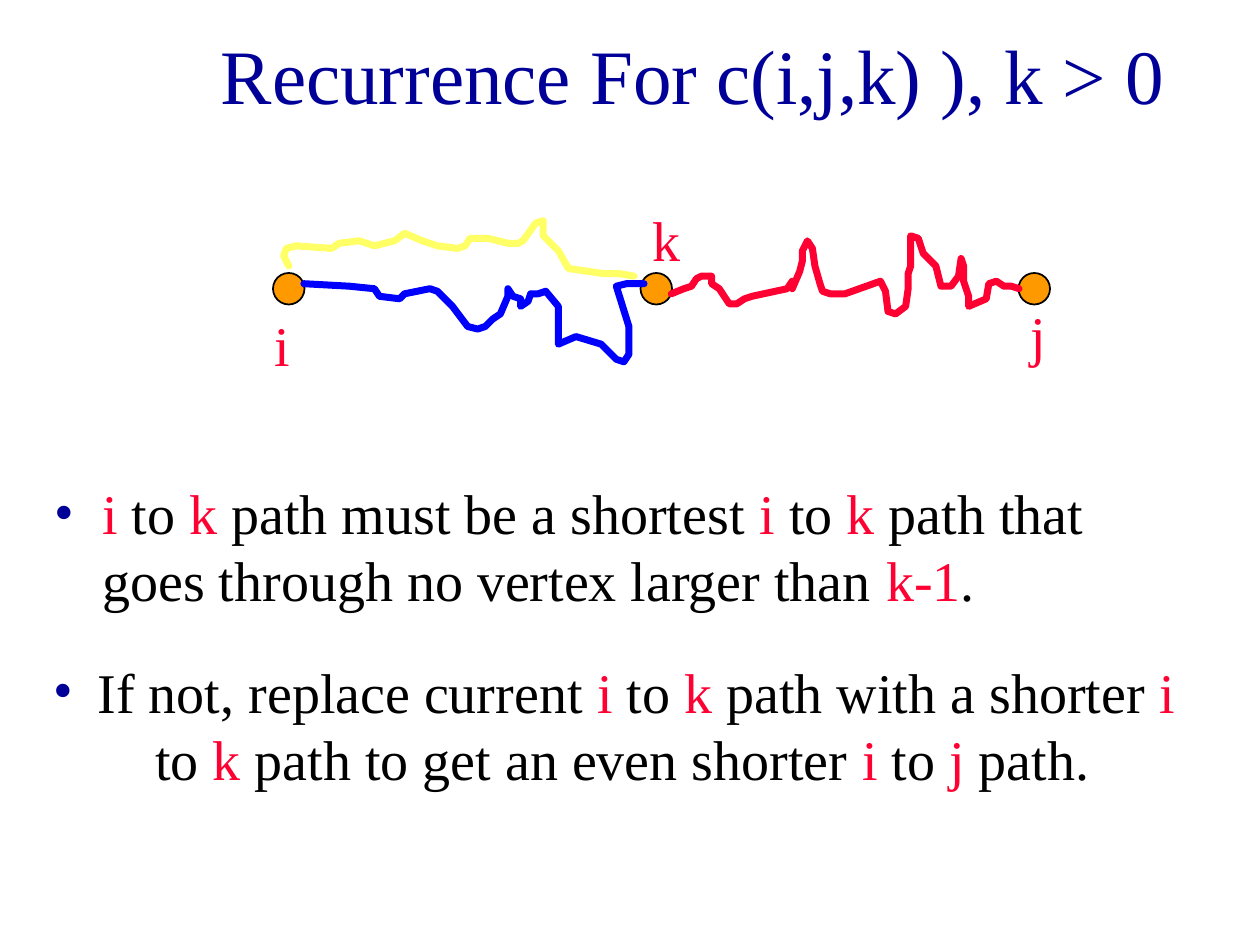
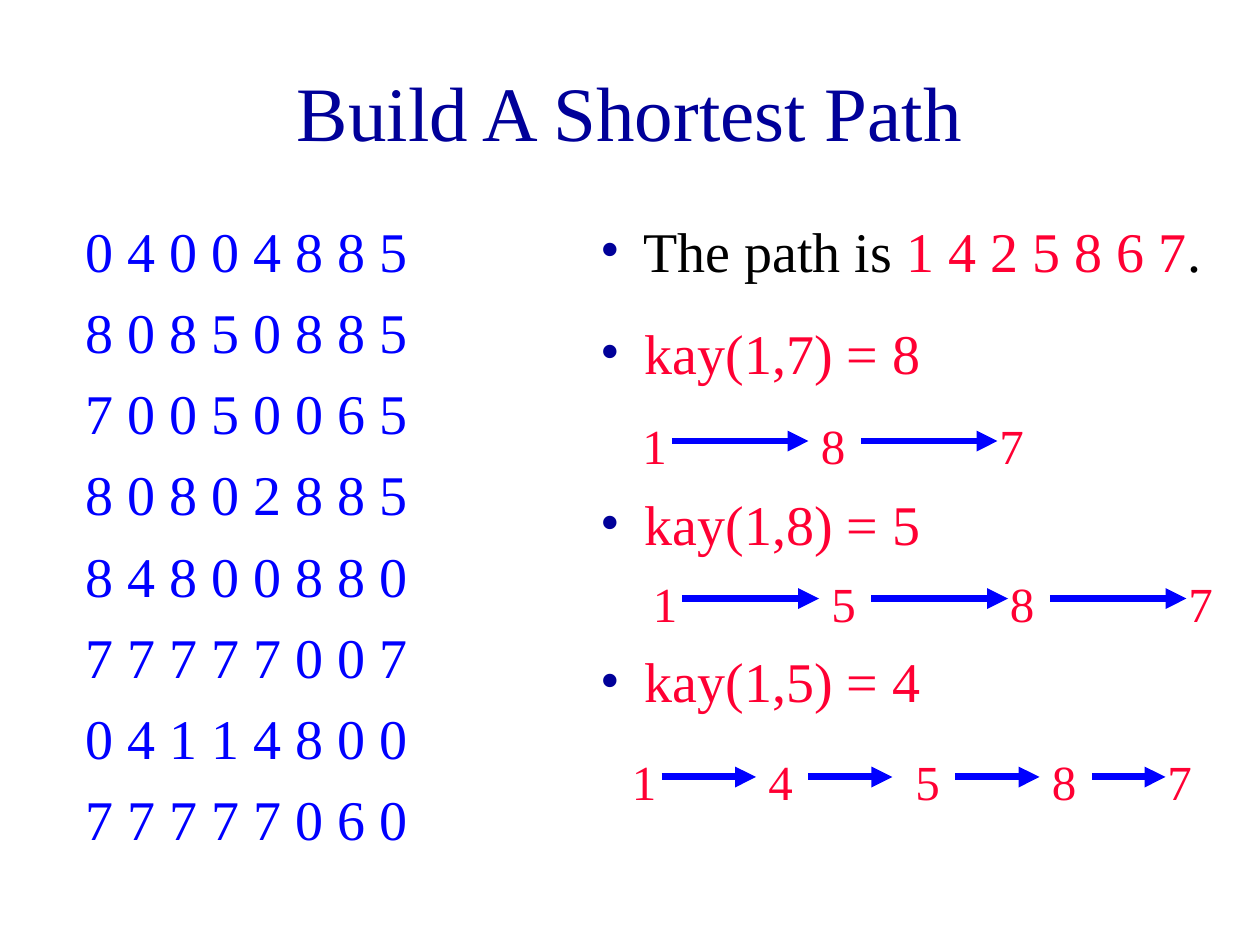
from itertools import accumulate

from lxml import etree
from pptx import Presentation
from pptx.dml.color import RGBColor
from pptx.enum.shapes import MSO_CONNECTOR, MSO_SHAPE
from pptx.enum.text import MSO_ANCHOR, PP_ALIGN
from pptx.oxml.ns import qn
from pptx.util import Inches, Pt

LEFT, CENTER = PP_ALIGN.LEFT, PP_ALIGN.CENTER
TOP, MIDDLE = MSO_ANCHOR.TOP, MSO_ANCHOR.MIDDLE
OVAL, STRAIGHT = MSO_SHAPE.OVAL, MSO_CONNECTOR.STRAIGHT

FONT = "Times New Roman"
NAVY, BLUE, RED, BLACK = "000099", "0000FF", "FF0033", "000000"
ORANGE, YELLOW = "FF9900", "FFFF66"
COLS, ROWS = 120, 90  # grid of the 10 by 7.5 inch slide
CELL = Inches(10) // COLS

# Path figure: each vertex has a column and the offset of its label
VERTICES = {"i": (3.5, -2.5, 1.5), "k": (38.5, -1.5, -8.5),
            "j": (74.5, -1.5, 0.5)}
VERTEX_ROW, VERTEX_SIZE = 9.5, 3

# A path is a chain of named stretches; each stretch is a list of pen strokes
# (right, down), counted in STROKE units from where the last one ended.
STROKE = Inches(0.02)
DRIFT = [(18, 1), (10, 1), (2, 3), (8, 1), (2, -2), (10, -2), (3, 1)]
VALLEY = [(6, 6), (6, 8), (4, 1), (3, -1), (3, -3), (3, -2), (3, -7), (0, -3)]
WIGGLE = [(2, 3), (3, 1), (0, 3), (3, -2), (1, -3), (3, 0), (3, -1), (5, 6)]
CLIFF = [(0, 15), (7, -3), (10, 3), (6, 6), (3, 1), (2, -3)]
CLIMB_BACK = [(0, -11), (-5, -16), (4, -1), (7, 0)]

HUMP = [(5, -2), (3, -1), (2, -3), (2, -1), (4, 0), (0, 3), (3, 2), (4, 6)]
SLOPE = [(3, 0), (3, -2), (3, -1), (14, -3), (2, -3), (0, 3)]
SPIKE = [(3, -7), (1, -4), (0, -4), (2, -4), (2, 3), (1, 7), (2, 7), (1, 3),
         (3, 1)]
PIT = [(6, 0), (14, -5), (2, 4), (1, 8), (3, 1), (4, -3)]
TOWER = [(1, -7), (0, -6), (1, -3), (0, -12), (3, 1), (2, 6), (5, 5), (2, 8)]
BUMP = [(4, 0), (3, -4), (1, -7), (1, 3), (0, 6), (2, 6), (0, 4)]
RUN_IN = [(7, -3), (1, -6), (3, -1), (3, 2), (3, 0), (3, 1)]

HOOK = [(-2, -4), (1, -3), (4, -1)]
RIPPLES = [(14, 1), (3, -2), (8, -1), (6, 2), (8, -2), (4, -3), (7, 3),
           (6, 2), (8, 1), (3, -1), (2, -3), (7, 0), (8, 2), (4, 0), (2, -1)]
PEAK = [(5, -7), (3, -1), (0, 6), (6, 6), (4, 7)]
GLIDE = [(14, 2), (6, 0), (6, 1)]

# colour, vertex it leaves, offset of the pen from that vertex, strokes
PATHS = [
    (BLUE, "i", (6, -2), DRIFT + VALLEY + WIGGLE + CLIFF + CLIMB_BACK),
    (RED, "k", (6, 2), HUMP + SLOPE + SPIKE + PIT + TOWER + BUMP + RUN_IN),
    (YELLOW, "i", (0, -9), HOOK + RIPPLES + PEAK + GLIDE)]

KAY_MATRIX = ["0 4 0 0 4 8 8 5", "8 0 8 5 0 8 8 5", "7 0 0 5 0 0 6 5",
              "8 0 8 0 2 8 8 5", "8 4 8 0 0 8 8 0", "7 7 7 7 7 0 0 7",
              "0 4 1 1 4 8 0 0", "7 7 7 7 7 0 6 0"]
# A hop is the columns to the next vertex and the length of its arrow
LONG_HOP = (17, 13)
CHAINS = [  # column, row, vertices, hops between them
    (60, 39, "187", [LONG_HOP] * 2),
    (61, 54, "1587", [LONG_HOP] * 3),
    (59, 71, "14587", [(13, 9), (14, 8), (13, 8), (11, 7)])]


def rgb(color):
    return RGBColor.from_string(color)


def cells(*lengths):
    return [int(v * CELL) for v in lengths]


def add_bullet(p, hanging):
    pPr = p._p.get_or_add_pPr()
    pPr.set("marL", str(Inches(hanging)))
    pPr.set("indent", str(-Inches(hanging)))
    clr = etree.SubElement(pPr, qn("a:buClr"))
    etree.SubElement(clr, qn("a:srgbClr"), val=NAVY)
    etree.SubElement(pPr, qn("a:buFont"), typeface=FONT)
    etree.SubElement(pPr, qn("a:buChar"), char="•")


def add_text(s, box, paragraphs, size=32, color=BLACK, before=8, align=LEFT,
             anchor=TOP, hanging=0):
    """Write paragraphs in a box of cells; parts between * are red.

    A hanging indent, in inches, makes the paragraphs bullets.
    """
    tf = s.shapes.add_textbox(*cells(*box)).text_frame
    tf.word_wrap, tf.vertical_anchor = True, anchor
    for n, text in enumerate(paragraphs):
        p = tf.paragraphs[0] if n == 0 else tf.add_paragraph()
        p.alignment = align
        p.space_before = Pt(20 if hanging and n else before)
        if hanging:
            add_bullet(p, hanging)
        for m, part in enumerate(text.split("*")):
            if part:
                r = p.add_run()
                r.text = part
                for name, value in {"name": FONT, "size": Pt(size)}.items():
                    setattr(r.font, name, value)
                r.font.color.rgb = rgb(RED if m % 2 else color)


def add_title(s, box, text):
    add_text(s, box, [text], 44, NAVY, 0, CENTER, MIDDLE)


def style_line(sp, color, width):
    sp.line.color.rgb = rgb(color)
    sp.line.width = Pt(width)


def add_vertex(s, col, row):
    """Draw a disc centred on a grid point."""
    half = VERTEX_SIZE / 2
    sp = s.shapes.add_shape(OVAL, *cells(col - half, row - half,
                                         VERTEX_SIZE, VERTEX_SIZE))
    sp.shadow.inherit = False
    sp.fill.solid()
    sp.fill.fore_color.rgb = rgb(ORANGE)
    style_line(sp, BLACK, 1)


def add_path(s, col, row, color, pen, strokes):
    """Draw strokes end to end, starting at pen's offset from a grid point."""
    start, *rest = accumulate(
        [pen] + strokes, lambda at, move: (at[0] + move[0], at[1] + move[1]))
    builder = s.shapes.build_freeform(*start, scale=STROKE)
    builder.add_line_segments(rest, close=False)
    sp = builder.convert_to_shape(*cells(col, row))
    sp.shadow.inherit = False
    sp.fill.background()
    style_line(sp, color, 4)
    ln = sp.line._get_or_add_ln()
    ln.set("cap", "rnd")
    etree.SubElement(ln, qn("a:round"))


def add_path_figure(s, left, top):
    row = top + VERTEX_ROW
    for name, (col, dx, dy) in VERTICES.items():
        add_vertex(s, left + col, row)
        add_text(s, (left + col + dx, row + dy, 3, 7.5), [name], color=RED,
                 before=20)
    for color, source, pen, strokes in PATHS:
        add_path(s, left + VERTICES[source][0], row, color, pen, strokes)


def add_arrow(s, start, length, row):
    sp = s.shapes.add_connector(STRAIGHT,
                                *cells(start, row, start + length, row))
    style_line(sp, BLUE, 4)
    etree.SubElement(sp.line._get_or_add_ln(), qn("a:tailEnd"), type="triangle")
    etree.SubElement(sp._element.spPr, qn("a:effectLst"))


def add_chain(s, left, row, vertices, hops):
    """Place the vertices of a path in a row, joined by arrows."""
    cols = list(accumulate((gap for gap, _ in hops), initial=left))
    for col, vertex in zip(cols, vertices):
        add_text(s, (col, row, 5, 7), [vertex], 28, RED, 17.5)
    for col, (_, length) in zip(cols, hops):
        add_arrow(s, col + (4 if col == left else 5), length, row + 3)


def build_recurrence(s):
    add_title(s, (15, 1, 102, 12), "Recurrence For c(i,j,k) ), k > 0")
    add_path_figure(s, 24, 18)
    add_text(s, (4, 45, 111, 15),
             ["*i* to* k *path must be a shortest *i* to* k* path that goes "
              "through no vertex larger than *k-1*."], hanging=0.38)
    add_text(s, (3, 62, 111, 24),
             [" If not, replace current *i* to* k *path with a shorter *i* to"
              "* k* path to get an even shorter *i* to* j *path. "],
             align=CENTER, hanging=0.24)


def build_shortest_path(s):
    add_title(s, (9, 3, 102, 15), "Build A Shortest Path")
    add_text(s, (7, 20, 38, 62), KAY_MATRIX, color=BLUE)
    steps = [(20, 17.5, [" The path is *1 4 2 5 8 6 7*.", "* kay(1,7) = 8*"]),
             (46, 7.5, ["* kay(1,8) = 5*"]),
             (61, 7.5, ["* kay(1,5) = 4*"])]
    for row, height, lines in steps:
        add_text(s, (56, row, 61, height), lines, hanging=0.24)
    for chain in CHAINS:
        add_chain(s, *chain)


def main():
    prs = Presentation()
    prs.slide_width, prs.slide_height = cells(COLS, ROWS)
    for build in (build_recurrence, build_shortest_path):
        build(prs.slides.add_slide(prs.slide_layouts[6]))
    prs.save("out.pptx")


if __name__ == "__main__":
    main()
